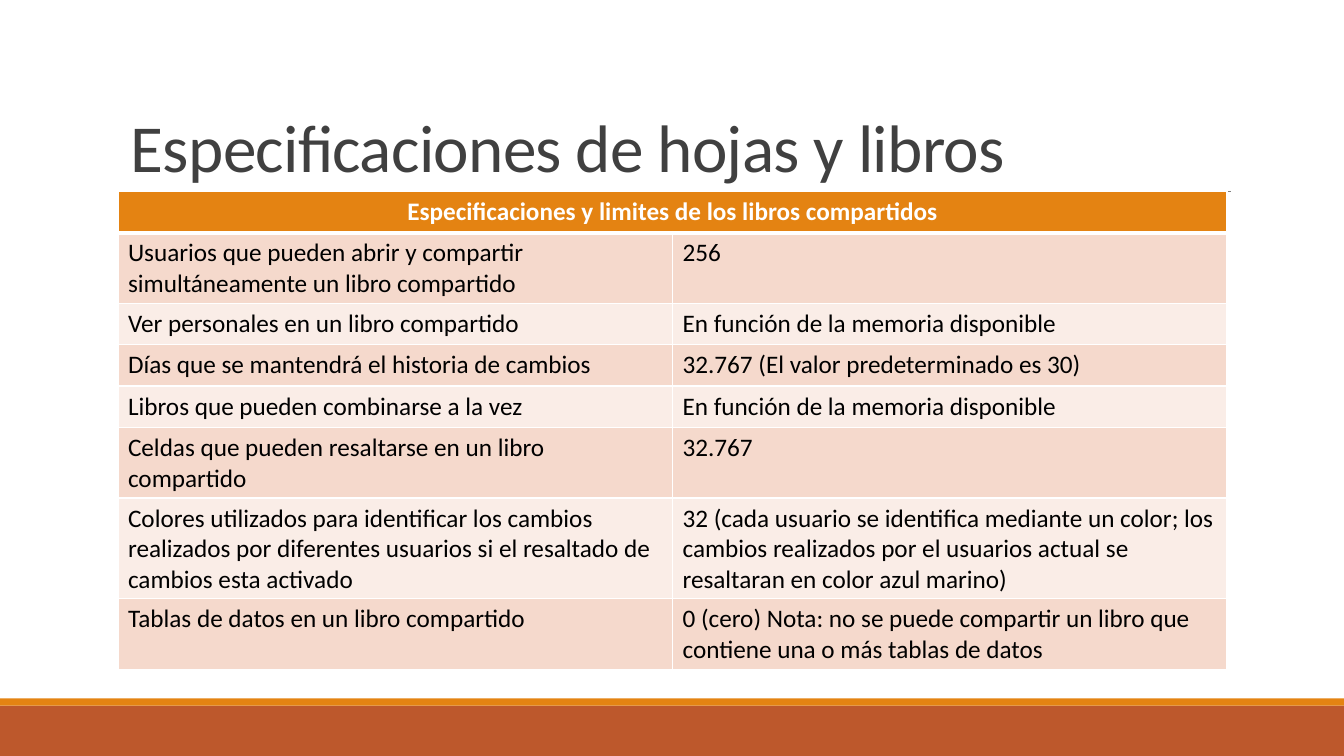
from lxml.etree import SubElement
from pptx import Presentation
from pptx.dml.color import RGBColor
from pptx.enum.shapes import MSO_CONNECTOR, MSO_SHAPE
from pptx.enum.text import MSO_ANCHOR, PP_ALIGN
from pptx.oxml.ns import qn
from pptx.util import Inches, Pt

ORANGE, RUST, WHITE = "E48312", "BD582C", "FFFFFF"
BANDS = ["F5D9CC", "FAEDE7"]
HEADING = "Especificaciones y limites de los libros compartidos"
LIMITS = [
    ("Usuarios que pueden abrir y compartir simultáneamente un libro compartido", "256"),
    ("Ver personales en un libro compartido", "En función de la memoria disponible"),
    ("Días que se mantendrá el historia de cambios", "32.767 (El valor predeterminado es 30)"),
    ("Libros que pueden combinarse a la vez", "En función de la memoria disponible"),
    ("Celdas que pueden resaltarse en un libro compartido", "32.767"),
    ("Colores utilizados para identificar los cambios realizados por diferentes usuarios "
     "si el resaltado de cambios esta activado",
     "32 (cada usuario se identifica mediante un color; los cambios realizados por el "
     "usuarios actual se resaltaran en color azul marino)"),
    ("Tablas de datos en un libro compartido",
     "0 (cero) Nota: no se puede compartir un libro que contiene una o más tablas de datos"),
]


def color(hex_code):
    return RGBColor.from_string(hex_code)


def style_font(font, size, hex_code, bold=False):
    font.name = "Calibri"
    font.size = Pt(size)
    font.bold = bold
    font.color.rgb = color(hex_code)


deck = Presentation()
deck.slide_width, deck.slide_height = Inches(13.33), Inches(7.5)
slide = deck.slides.add_slide(deck.slide_layouts[6])

# Footer bands and title rule
for top, height, fill in [(7, 0.5, RUST), (6.93, 0.07, ORANGE)]:
    band = slide.shapes.add_shape(
        MSO_SHAPE.RECTANGLE, 0, Inches(top), deck.slide_width, Inches(height))
    band.shadow.inherit = False
    band.fill.solid()
    band.fill.fore_color.rgb = color(fill)
    band.line.fill.background()

rule = slide.shapes.add_connector(
    MSO_CONNECTOR.STRAIGHT, Inches(1.31), Inches(1.9), Inches(12.21), Inches(1.9))
rule.line.color.rgb = color("808080")
rule.line.width = Pt(0.5)
SubElement(rule._element.spPr, qn("a:effectLst"))

# Title
title = slide.shapes.add_textbox(Inches(1.2), Inches(0.31), Inches(11), Inches(1.59)).text_frame
title.word_wrap = True
title.vertical_anchor = MSO_ANCHOR.BOTTOM
title_line = title.paragraphs[0]
title_line.line_spacing = 0.85
title_run = title_line.add_run()
title_run.text = "Especificaciones de hojas y libros"
title_run._r.get_or_add_rPr().set("spc", "-50")
style_font(title_run.font, 48, "404040")

# Table of limits
row_height = 0.41
limits = slide.shapes.add_table(
    len(LIMITS) + 1, 2, Inches(1.17), Inches(1.9),
    Inches(11), Inches(row_height * (len(LIMITS) + 1))).table

for row, texts in enumerate([(HEADING, "")] + LIMITS):
    limits.rows[row].height = Inches(row_height)
    is_heading = row == 0
    for column, text in enumerate(texts):
        cell = limits.cell(row, column)
        cell.text = text
        for side in ("lnL", "lnR", "lnT", "lnB"):
            thick = (row, side) in [(0, "lnB"), (1, "lnT")]
            border = SubElement(cell._tc.get_or_add_tcPr(), qn(f"a:{side}"),
                                w=str(Pt(3 if thick else 1)))
            SubElement(SubElement(border, qn("a:solidFill")), qn("a:srgbClr"), val=WHITE)
        cell.fill.solid()
        cell.fill.fore_color.rgb = color(ORANGE if is_heading else BANDS[(row - 1) % 2])
        paragraph = cell.text_frame.paragraphs[0]
        paragraph.alignment = PP_ALIGN.CENTER if is_heading else PP_ALIGN.LEFT
        style_font(paragraph.font, 18, WHITE if is_heading else "000000", is_heading)

limits.cell(0, 0).merge(limits.cell(0, 1))

deck.save("out.pptx")
